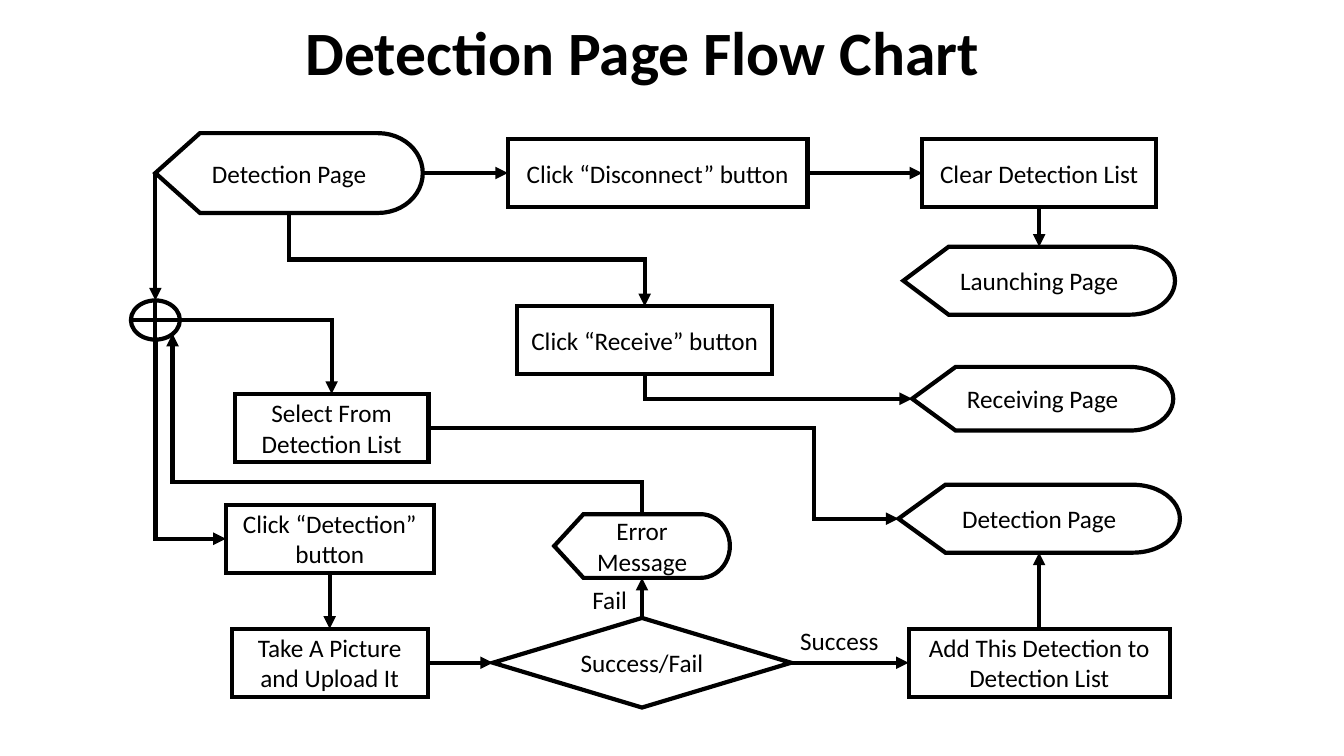
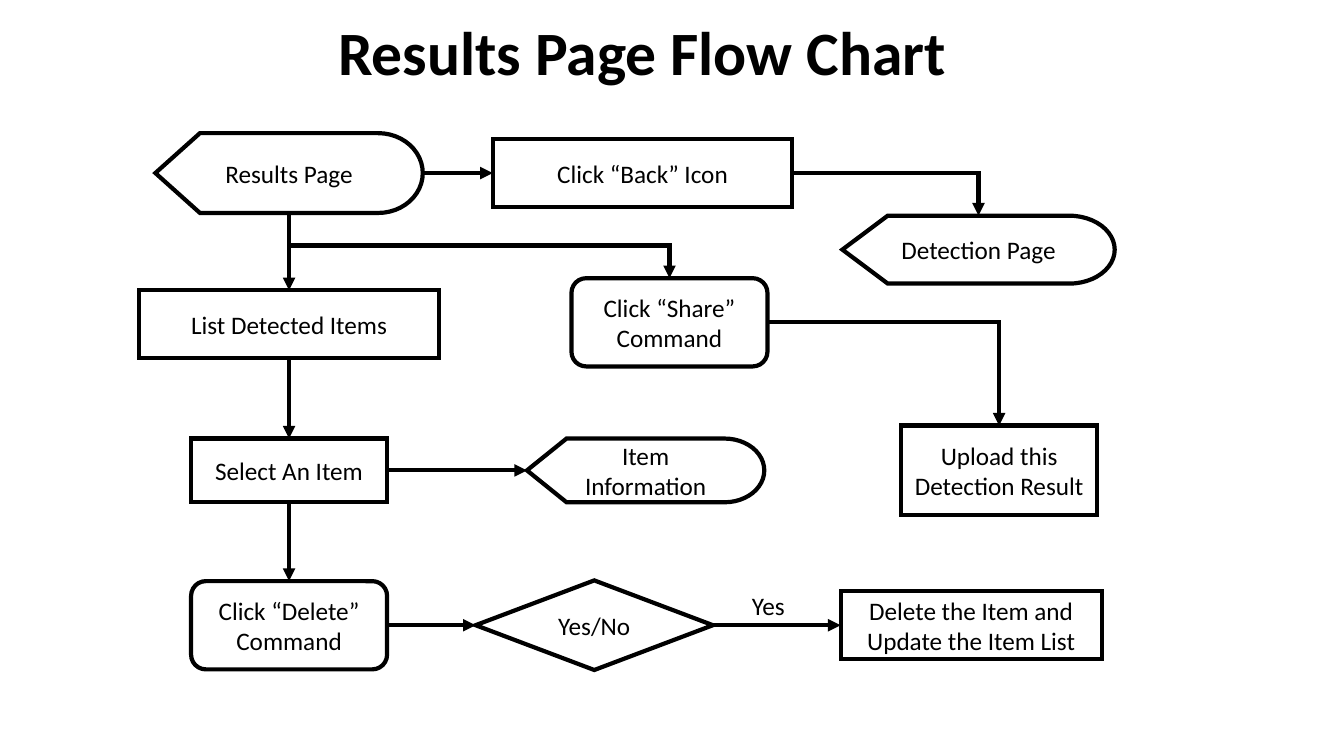
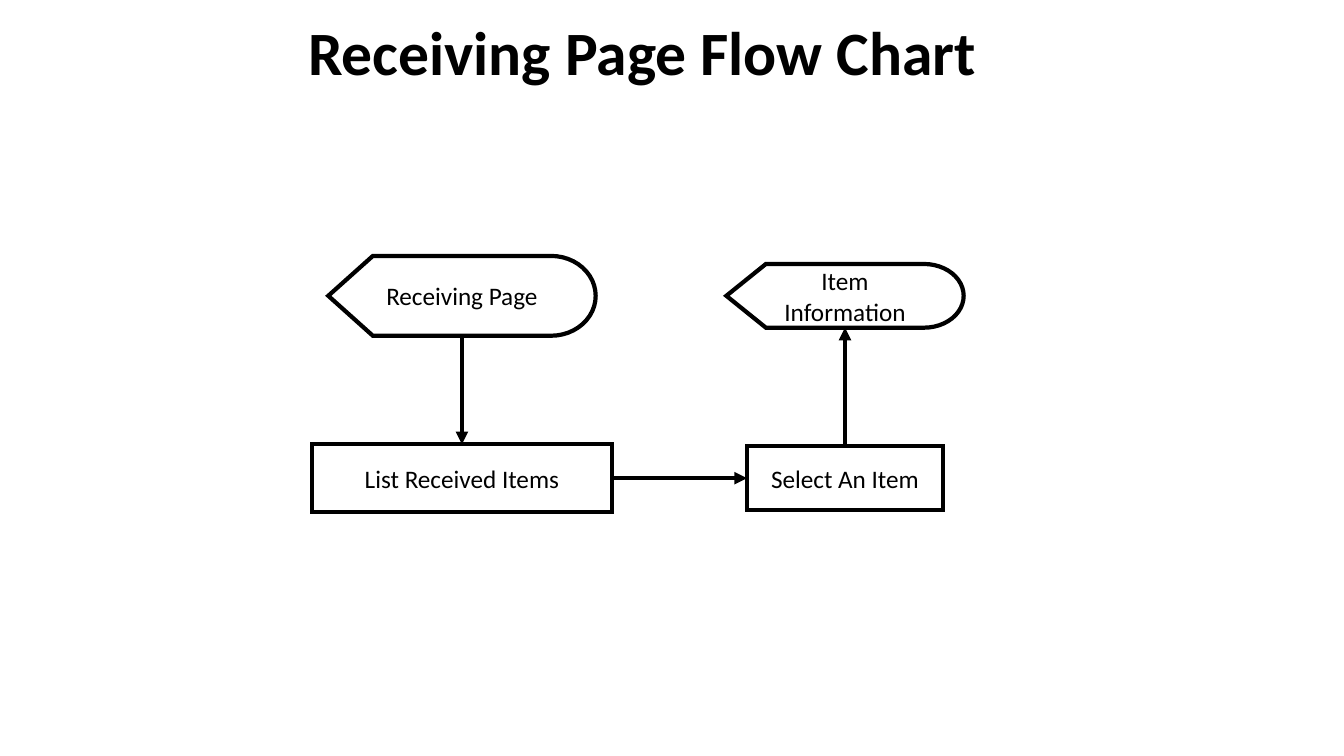
import pptx
import pptx.util
import pptx.dml.color
import pptx.enum.shapes
import pptx.enum.text
import pptx.oxml.ns
import pptx.oxml.xmlchemy

Pt = pptx.util.Pt
KIND = pptx.enum.shapes.MSO_SHAPE
WIRE = pptx.enum.shapes.MSO_CONNECTOR
MID = pptx.enum.text.MSO_ANCHOR.MIDDLE
CENTER = pptx.enum.text.PP_ALIGN.CENTER
LEFT = pptx.enum.text.PP_ALIGN.LEFT
BLACK = pptx.dml.color.RGBColor(0, 0, 0)
WHITE = pptx.dml.color.RGBColor(255, 255, 255)

BODY = {"name": "Calibri", "size": Pt(18), "bold": False}
HEAD = {"name": "Calibri", "size": Pt(44), "bold": True}
TITLE = {"left": Pt(195), "top": Pt(6), "width": Pt(528), "height": Pt(60)}

PAGE = KIND.FLOWCHART_DISPLAY
STEP = KIND.FLOWCHART_PROCESS
ASK = KIND.FLOWCHART_DECISION
TAP = KIND.FLOWCHART_ALTERNATE_PROCESS
JOIN = KIND.FLOWCHART_OR

TOP, WEST, BASE, EAST, CORNER = range(5)
SIDES = [(0.5, 0), (0, 0.5), (0.5, 1), (1, 0.5), (0.85, 0.85)]

DECK = [
    {
        "title": "Detection Page Flow Chart",
        "nodes": {
            "start": (PAGE, "Detection Page", 206.5, 123.6, 191, 57),
            "leave": (STEP, "Click “Disconnect” button", 469.8, 123.6, 214, 48.5),
            "clear": (STEP, "Clear Detection List", 742.3, 123.6, 167, 48.5),
            "launch": (PAGE, "Launching Page", 742.3, 200.5, 194, 48.5),
            "get": (STEP, "Click “Receive” button", 460.5, 243, 182, 48.5),
            "inbox": (PAGE, "Receiving Page", 744.8, 284.8, 186.5, 45.5),
            "join": (JOIN, "", 111, 228.6, 35, 28),
            "pick": (STEP, "Select From\nDetection List", 236.9, 305.6, 138.5, 48.5),
            "detect": (STEP, "Click “Detection”\nbutton", 235.5, 384.8, 148.5, 48.5),
            "shoot": (STEP, "Take A Picture\nand Upload It", 235.5, 473.4, 140, 48.5),
            "check": (ASK, "Success/Fail", 458.6, 473.4, 213, 64),
            "error": (PAGE, "Error Message", 458.6, 390, 125.5, 45.5),
            "add": (STEP, "Add This Detection to Detection List", 742.3, 473.4, 186.5, 48.5),
            "page": (PAGE, "Detection Page", 742.3, 370.5, 201, 48.5),
        },
        "links": [
            ("start", EAST, "leave", WEST),
            ("leave", EAST, "clear", WEST),
            ("clear", BASE, "launch", TOP),
            ("start", BASE, "get", TOP),
            ("get", BASE, "inbox", WEST),
            ("start", WEST, "join", TOP),
            ("join", EAST, "pick", TOP),
            ("join", BASE, "detect", WEST),
            ("pick", EAST, "page", WEST, 0.82),
            ("detect", BASE, "shoot", TOP),
            ("shoot", EAST, "check", WEST),
            ("check", TOP, "error", BASE),
            ("error", TOP, "join", CORNER, 0.18),
            ("check", EAST, "add", WEST),
            ("add", TOP, "page", BASE),
        ],
        "labels": [("Fail", 416, 414, 43), ("Success", 564.5, 442.8, 74)],
    },
    {
        "title": "Results Page Flow Chart",
        "nodes": {
            "start": (PAGE, "Results Page", 206.5, 123.6, 191, 57),
            "back": (STEP, "Click “Back” Icon", 459, 123.6, 214, 48.5),
            "page": (PAGE, "Detection Page", 699, 178.3, 194.5, 48.5),
            "list": (STEP, "List Detected Items", 206.5, 231.5, 214, 48.5),
            "share": (TAP, "Click “Share” Command", 478.2, 230.2, 140, 63),
            "send": (STEP, "Upload this Detection Result", 713.7, 336, 140, 64),
            "pick": (STEP, "Select An Item", 206.5, 336, 140, 45.5),
            "info": (PAGE, "Item Information", 461.2, 336, 169.5, 45.5),
            "drop": (TAP, "Click “Delete” Command", 206.5, 446.6, 140, 63),
            "check": (ASK, "Yes/No", 424.5, 446.6, 169.5, 64),
            "renew": (STEP, "Delete the Item and Update the Item List", 693.7, 446.6, 186.5, 48.5),
        },
        "links": [
            ("start", EAST, "back", WEST),
            ("back", EAST, "page", TOP),
            ("start", BASE, "list", TOP),
            ("start", BASE, "share", TOP),
            ("share", EAST, "send", TOP),
            ("list", BASE, "pick", TOP),
            ("pick", EAST, "info", WEST),
            ("pick", BASE, "drop", TOP),
            ("drop", EAST, "check", WEST),
            ("check", EAST, "renew", WEST),
        ],
        "labels": [("Yes", 530, 418.3, 43)],
    },
    {
        "title": "Receiving Page Flow Chart",
        "nodes": {
            "start": (PAGE, "Receiving Page", 330, 211.3, 191, 57),
            "list": (STEP, "List Received Items", 330, 341.6, 214, 48.5),
            "pick": (STEP, "Select An Item", 603.6, 341.6, 140, 45.5),
            "info": (PAGE, "Item Information", 603.6, 211.3, 169.5, 45.5),
        },
        "links": [
            ("start", BASE, "list", TOP),
            ("list", EAST, "pick", WEST),
            ("pick", TOP, "info", BASE),
        ],
        "labels": [],
    },
]


def apply(item, form):
    for key, value in form.items():
        setattr(item, key, value)


def add_tag(host, tag, **form):
    node = pptx.oxml.xmlchemy.OxmlElement(tag)
    for key, value in form.items():
        node.set(key, value)
    host.append(node)


def write(shape, text, form, align):
    frame = shape.text_frame
    frame.text = text
    frame.word_wrap = True
    for para in frame.paragraphs:
        para.alignment = align
        for run in para.runs:
            apply(run.font, form)
            run.font.color.rgb = BLACK


def stroke(shape):
    shape.line.color.rgb = BLACK
    shape.line.width = Pt(3)
    edge = shape._element.spPr.find(pptx.oxml.ns.qn("a:ln"))
    add_tag(edge, "a:miter", lim="800000")
    return edge


def add_node(slide, kind, text, mid, row, wide, high):
    shape = slide.shapes.add_shape(
        kind, Pt(mid - wide / 2), Pt(row - high / 2), Pt(wide), Pt(high))
    shape.shadow.inherit = False
    shape.fill.solid()
    shape.fill.fore_color.rgb = WHITE
    stroke(shape)
    if text:
        write(shape, text, BODY, CENTER)
        shape.text_frame.vertical_anchor = MID
    return shape


def port(node, side):
    mid, row, wide, high = node[2:]
    right, down = SIDES[side]
    return mid + (right - 0.5) * wide, row + (down - 0.5) * high


def add_bend(slide, first, last, upright, parallel, bend):
    (x1, y1), (x2, y2) = first, last
    if upright:
        mid, row = (x1 + x2) / 2, (y1 + y2) / 2
        run, rise = (x2 - x1) / 2, (y2 - y1) / 2
        x1, y1, x2, y2 = mid + rise, row - run, mid - rise, row + run
    wire = slide.shapes.add_connector(WIRE.ELBOW, Pt(x1), Pt(y1), Pt(x2), Pt(y2))
    props = wire._element.spPr
    if upright:
        props.find(pptx.oxml.ns.qn("a:xfrm")).set("rot", "16200000")
    geom = props.find(pptx.oxml.ns.qn("a:prstGeom"))
    if parallel:
        rules = geom.find(pptx.oxml.ns.qn("a:avLst"))
        add_tag(rules, "a:gd", name="adj1", fmla=f"val {round(bend * 100000)}")
    else:
        geom.set("prst", "bentConnector2")
    return wire


def add_link(slide, nodes, shapes, start, out, end, into, bend=0.5):
    first, last = port(nodes[start], out), port(nodes[end], into)
    gaps = [abs(a - b) for a, b in zip(first, last)]
    if min(gaps) < 1:
        spots = [Pt(value) for value in first + last]
        wire = slide.shapes.add_connector(WIRE.STRAIGHT, *spots)
        wire.begin_connect(shapes[start], out)
        wire.end_connect(shapes[end], into)
    else:
        wire = add_bend(slide, first, last, out % 2 == 0, out % 2 == into % 2, bend)
    add_tag(stroke(wire), "a:tailEnd", type="triangle")
    add_tag(wire._element.spPr, "a:effectLst")


def add_chart_slide(deck, layout, data):
    slide = deck.slides.add_slide(layout)
    write(slide.shapes.title, data["title"], HEAD, CENTER)
    nodes = data["nodes"]
    shapes = {name: add_node(slide, *node) for name, node in nodes.items()}
    for link in data["links"]:
        add_link(slide, nodes, shapes, *link)
    for text, left, top, wide in data["labels"]:
        box = slide.shapes.add_textbox(Pt(left), Pt(top), Pt(wide), Pt(29))
        write(box, text, BODY, LEFT)


def main():
    deck = pptx.Presentation()
    apply(deck, {"slide_width": Pt(960), "slide_height": Pt(540)})
    layout = deck.slide_layouts[5]
    apply(layout.placeholders[0], TITLE)
    for data in DECK:
        add_chart_slide(deck, layout, data)
    deck.save("out.pptx")


if __name__ == "__main__":
    main()
